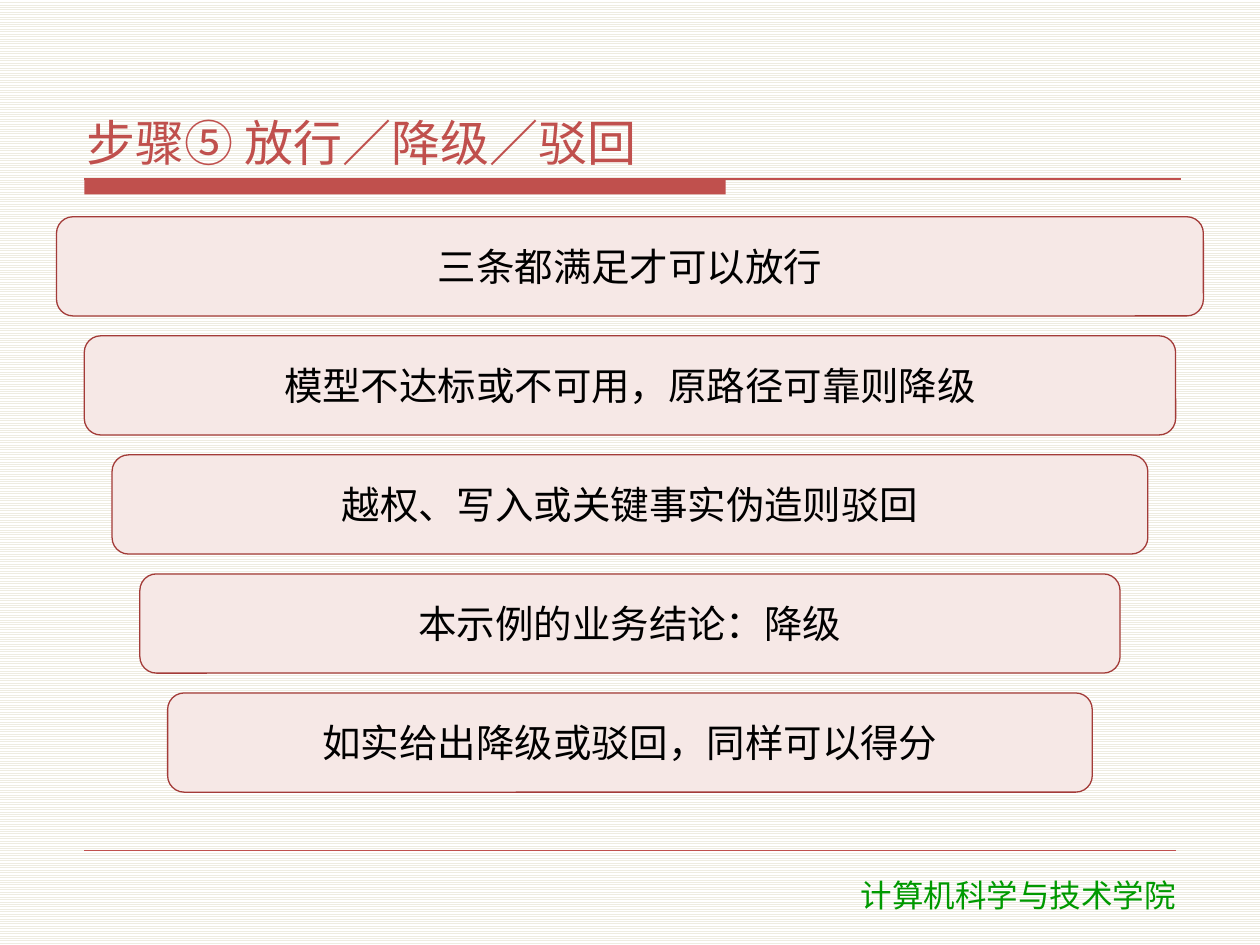
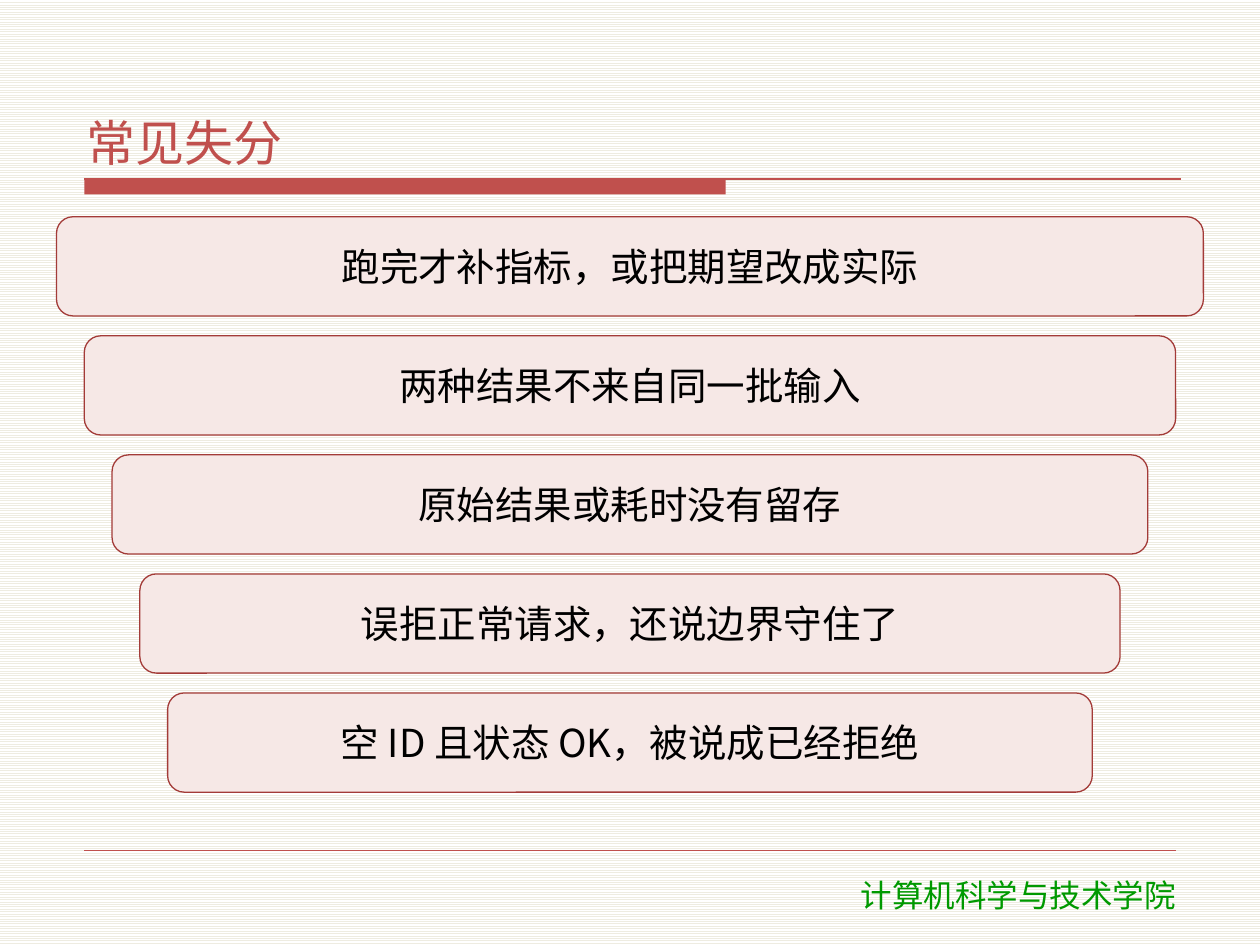
from lxml.etree import SubElement
from pptx import Presentation
from pptx.dml.color import RGBColor
from pptx.enum.dml import MSO_PATTERN
from pptx.enum.shapes import MSO_CONNECTOR, MSO_SHAPE
from pptx.enum.text import MSO_ANCHOR, PP_ALIGN
from pptx.oxml.ns import qn
from pptx.util import Cm, Pt

COLORS = {
    "accent": "C0504D",
    "card": "F6E8E6",
    "card_line": "A33B38",
    "text": "000000",
    "footer": "009900",
    "stripe": "EEECE1",
    "paper": "FFFFFF",
}
BODY_FONT, FOOTER_FONT = "Noto Sans CJK SC", "DejaVu Sans"
FOOTER = "计算机科学与技术学院"

SLIDES = [
    ("步骤⑤ 放行／降级／驳回", [
        "三条都满足才可以放行",
        "模型不达标或不可用，原路径可靠则降级",
        "越权、写入或关键事实伪造则驳回",
        "本示例的业务结论：降级",
        "如实给出降级或驳回，同样可以得分",
    ]),
    ("常见失分", [
        "跑完才补指标，或把期望改成实际",
        "两种结果不来自同一批输入",
        "原始结果或耗时没有留存",
        "误拒正常请求，还说边界守住了",
        "空 ID 且状态 OK，被说成已经拒绝",
    ]),
]


def rgb(name):
    """Return the palette colour of that name."""
    return RGBColor.from_string(COLORS[name])


def put_text(sp, text, size, color="text", font=BODY_FONT, align=PP_ALIGN.CENTER,
             anchor=MSO_ANCHOR.MIDDLE, inset=(0.15, 0.05), after=2):
    """Write one formatted paragraph into a shape."""
    tf = sp.text_frame
    tf.word_wrap = True
    tf.vertical_anchor = anchor
    tf.margin_left = tf.margin_right = Cm(inset[0])
    tf.margin_top = tf.margin_bottom = Cm(inset[1])
    p = tf.paragraphs[0]
    p.alignment = align
    p.space_after = Pt(after)
    r = p.add_run()
    r.text = text
    r.font.size = Pt(size)
    r.font.color.rgb = rgb(color)
    r.font.name = font
    SubElement(r.font._element, qn("a:ea"), typeface=font)


def add_box(s, kind, box, fill, line=None):
    """Add a flat preset shape, outlined when a line colour is given."""
    sp = s.shapes.add_shape(kind, *map(Cm, box))
    sp.shadow.inherit = False
    sp.fill.solid()
    sp.fill.fore_color.rgb = rgb(fill)
    if line:
        sp.line.color.rgb = rgb(line)
        sp.line.width = Pt(0.75)
    else:
        sp.line.fill.background()
    return sp


def add_rule(s, left, top, width, weight):
    """Draw a thin horizontal accent line."""
    line = s.shapes.add_connector(MSO_CONNECTOR.STRAIGHT, Cm(left), Cm(top),
                                  Cm(left + width), Cm(top))
    line.line.color.rgb = rgb("accent")
    line.line.width = Pt(weight)
    SubElement(line._element.spPr, qn("a:effectLst"))


def add_background(s):
    """Fill the slide with light horizontal stripes."""
    fill = s.background.fill
    fill.patterned()
    fill.pattern = MSO_PATTERN.LIGHT_HORIZONTAL
    fill.fore_color.rgb = rgb("stripe")
    fill.back_color.rgb = rgb("paper")


def add_header(s, title, left, top, width, height):
    """Place the title above its half-width band and rule."""
    rule_left, rule_top = left + 0.1, top + height + 0.1
    add_box(s, MSO_SHAPE.RECTANGLE, (rule_left, rule_top, 12.93, 0.31), "accent")
    add_rule(s, rule_left, rule_top, 22.1, 0.75)
    sp = s.shapes.add_textbox(*map(Cm, (left, top, width, height)))
    put_text(sp, title, 28, color="accent", align=PP_ALIGN.LEFT,
             anchor=MSO_ANCHOR.BOTTOM)


def add_footer(s, left, top, width):
    """Place the footer rule with the school name below its right end."""
    add_rule(s, left, top, width, 0.25)
    sp = s.shapes.add_textbox(Cm(left + 13.72), Cm(top + 0.38), Cm(10.21), Cm(1.02))
    put_text(sp, FOOTER, 18, color="footer", font=FOOTER_FONT,
             anchor=MSO_ANCHOR.TOP, inset=(0.25, 0.13), after=0)


def add_funnel(s, items, left, top, width, height, gap=0.4, step=0.56):
    """Stack cards that narrow by one step per side on each row."""
    card_height = (height - gap * (len(items) - 1)) / len(items)
    for i, item in enumerate(items):
        box = (left + i * step, top + i * (card_height + gap),
               width - 2 * i * step, card_height)
        sp = add_box(s, MSO_SHAPE.ROUNDED_RECTANGLE, box, "card", "card_line")
        put_text(sp, item, 22)


def add_funnel_slide(prs, title, items):
    """Build one slide with its title, funnel of cards and footer."""
    s = prs.slides.add_slide(prs.slide_layouts[6])
    add_background(s)
    add_header(s, title, 1.6, 0.84, 22.22, 2.67)
    add_footer(s, 1.7, 17.15, 22)
    add_funnel(s, items, 1.14, 4.37, 23.12, 11.6)


def main():
    """Build and save the deck."""
    prs = Presentation()
    prs.slide_width, prs.slide_height = Cm(25.4), Cm(19.05)
    for title, items in SLIDES:
        add_funnel_slide(prs, title, items)
    prs.save("out.pptx")


if __name__ == "__main__":
    main()
